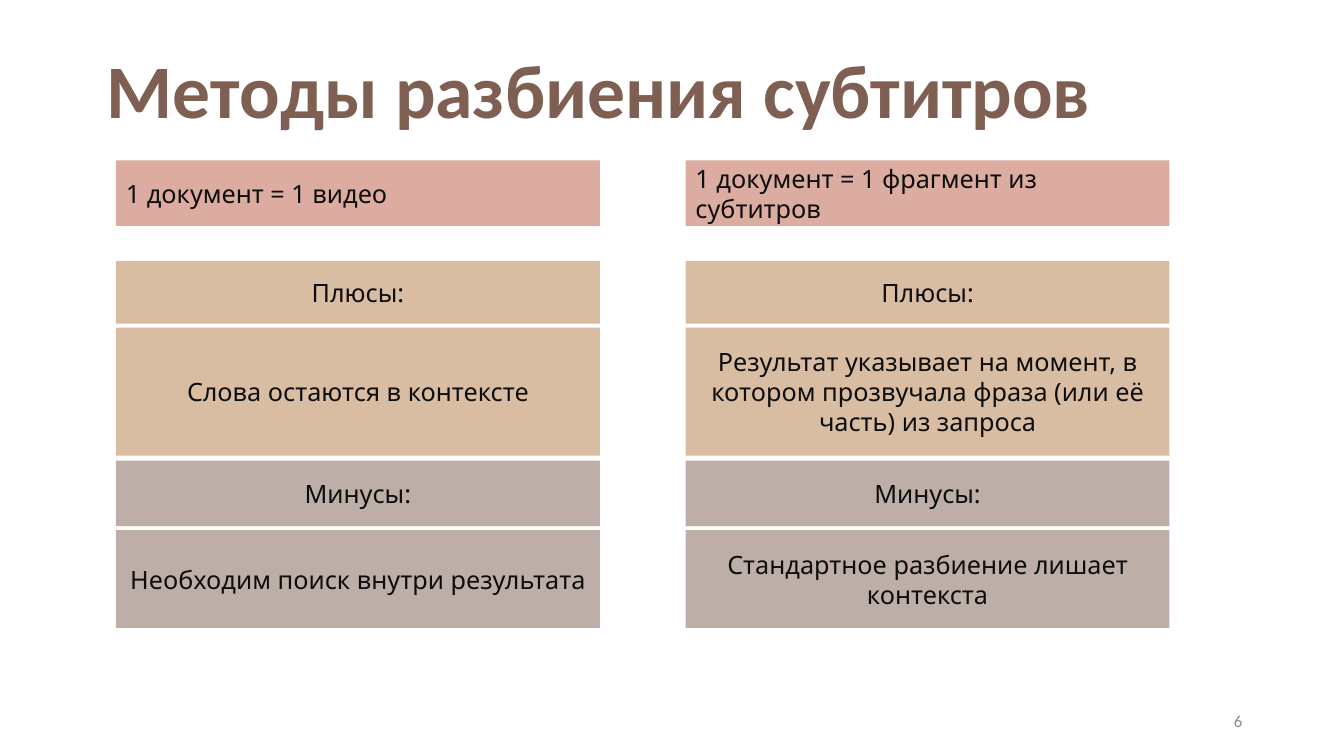
from dataclasses import dataclass

from lxml.etree import SubElement
from pptx import Presentation
from pptx.dml.color import RGBColor
from pptx.enum.shapes import MSO_SHAPE
from pptx.enum.text import MSO_ANCHOR as Anchor
from pptx.enum.text import MSO_AUTO_SIZE as AutoSize
from pptx.enum.text import PP_ALIGN as Align
from pptx.oxml.ns import qn
from pptx.util import Inches, Pt


@dataclass(frozen=True)
class Theme:
    """Colours, fonts and type sizes of the slide."""
    brown: str = "7F5F52"
    red: str = "A5300F"
    tan: str = "B27D49"
    ink: str = "0D0D0D"
    grey: str = "8C8C8C"
    white: str = "FFFFFF"
    heading_font: str = "Calibri"
    body_font: str = "Noto Sans"
    title_size: int = 54
    body_size: int = 18
    number_size: int = 12


@dataclass(frozen=True)
class Band:
    """A row shared by all method columns."""
    top: float
    height: float
    color: str
    opacity: int
    align: Align = Align.CENTER


@dataclass(frozen=True)
class Method:
    """A way of splitting subtitles, with its pros and cons."""
    left: float
    name: str
    pros: str
    cons: str

    def texts(self) -> list[str]:
        """Return the column's texts from top to bottom."""
        return [self.name, "Плюсы:", self.pros, "Минусы:", self.cons]


THEME = Theme()
COLUMN_WIDTH = 4.8
BANDS = [
    Band(1.59, 0.65, THEME.red, 40, Align.LEFT),
    Band(2.59, 0.62, THEME.tan, 50),
    Band(3.25, 1.27, THEME.tan, 50),
    Band(4.57, 0.65, THEME.brown, 50),
    Band(5.26, 0.97, THEME.brown, 50),
]
METHODS = [
    Method(1.15, "1 документ = 1 видео", "Слова остаются в контексте",
           "Необходим поиск внутри результата"),
    Method(6.8, "1 документ = 1 фрагмент из субтитров",
           "Результат указывает на момент, в котором прозвучала фраза "
           "(или её часть) из запроса",
           "Стандартное разбиение лишает контекста"),
]


def write(frame, text: str, font: str, size: int, color: str,
          align: Align, anchor: Anchor = Anchor.MIDDLE, bold: bool = False):
    """Write one formatted run into a text frame and return it."""
    frame.word_wrap = True
    frame.vertical_anchor = anchor
    paragraph = frame.paragraphs[0]
    paragraph.alignment = align
    run = paragraph.add_run()
    run.text = text
    run.font.name, run.font.size, run.font.bold = font, Pt(size), bold
    run.font.color.rgb = RGBColor.from_string(color)
    return run


def outline_text(run, color: str, width: float) -> None:
    """Give the letters of a run a solid outline."""
    properties = run.font._element
    line = SubElement(properties, qn("a:ln"), w=str(Pt(width)))
    SubElement(SubElement(line, qn("a:solidFill")), qn("a:srgbClr"), val=color)
    properties.insert(0, line)


def add_title(slide, text: str) -> None:
    """Place and format the slide title."""
    title = slide.shapes.title
    title.left, title.top = Inches(0.92), Inches(0.38)
    title.width, title.height = Inches(10.04), Inches(1.01)
    run = write(title.text_frame, text, THEME.heading_font, THEME.title_size,
                THEME.brown, Align.CENTER, Anchor.TOP, bold=True)
    outline_text(run, THEME.white, 0.75)
    title.text_frame.word_wrap = False
    title.text_frame.auto_size = AutoSize.SHAPE_TO_FIT_TEXT


def add_cell(slide, left: float, band: Band, text: str) -> None:
    """Draw a translucent block of one method column."""
    cell = slide.shapes.add_shape(
        MSO_SHAPE.RECTANGLE, Inches(left), Inches(band.top),
        Inches(COLUMN_WIDTH), Inches(band.height))
    cell.shadow.inherit = False
    cell.line.fill.background()
    cell.fill.solid()
    cell.fill.fore_color.rgb = RGBColor.from_string(band.color)
    fill_color = cell._element.spPr.find(
        f"{qn('a:solidFill')}/{qn('a:srgbClr')}")
    SubElement(fill_color, qn("a:alpha"), val=str(band.opacity * 1000))
    write(cell.text_frame, text, THEME.body_font, THEME.body_size,
          THEME.ink, band.align)


def add_page_number(slide, number: str) -> None:
    """Write the page number at the lower right."""
    page = slide.shapes.add_textbox(
        Inches(9.42), Inches(6.95), Inches(3), Inches(0.4))
    write(page.text_frame, number, THEME.heading_font, THEME.number_size,
          THEME.grey, Align.RIGHT)


def main() -> None:
    """Build and save the slide."""
    deck = Presentation()
    deck.slide_width, deck.slide_height = Inches(13.33), Inches(7.5)
    slide = deck.slides.add_slide(deck.slide_layouts.get_by_name("Title Only"))
    add_title(slide, "Методы разбиения субтитров")
    for method in METHODS:
        for band, text in zip(BANDS, method.texts()):
            add_cell(slide, method.left, band, text)
    add_page_number(slide, "6")
    deck.save("out.pptx")


main()
